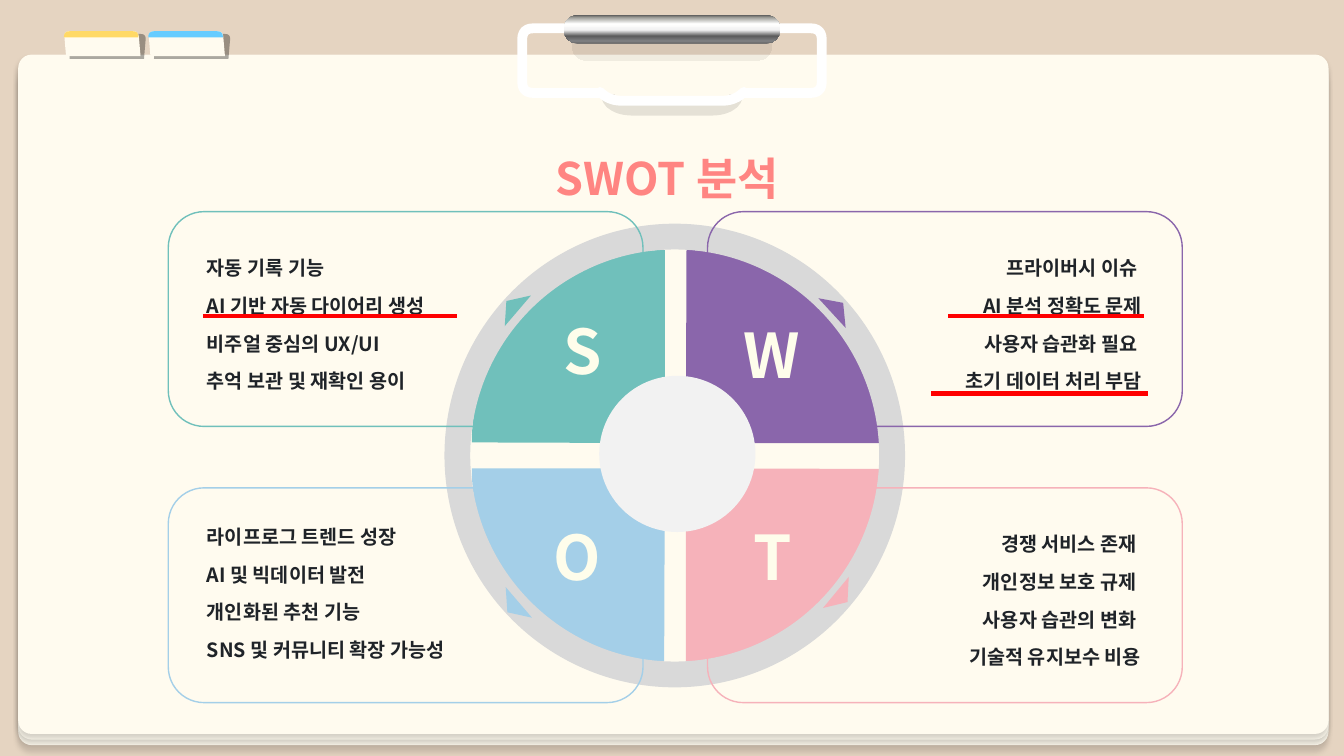
from dataclasses import dataclass, field
from lxml.etree import SubElement as Sub
from pptx import Presentation
from pptx.dml.color import RGBColor as RGB
from pptx.enum.shapes import MSO_CONNECTOR as Link, MSO_SHAPE as Kind
from pptx.enum.text import MSO_ANCHOR as Anchor, MSO_AUTO_SIZE as Fit, PP_ALIGN as Align
from pptx.oxml.ns import qn
from pptx.util import Pt


@dataclass(frozen=True)
class Theme:
    font: str = "Noto Sans CJK KR"
    desk: str = "E5D4C1"
    page: str = "FFFBEF"
    black: str = "000000"
    white: str = "FFFFFF"
    title: str = "FF8582"
    ink: str = "1F2328"
    mark: str = "FF0000"
    ring: str = "D9D9D9"
    hub: str = "F2F2F2"
    glyph: str = "FEFDEB"
    yellow: str = "FFD966"
    blue: str = "66CCFF"
    teal: str = "70C0BB"
    purple: str = "8A66AB"
    sky: str = "A4CFE8"
    pink: str = "F6B2BA"
    metal: tuple = ((0, "595959"), (8, "9A9A95"), (31, "FFFFFE"), (53, "F2F2F2"),
                    (74, "5B5B5B"), (92, "808183"), (100, "676767"))
    big: int = 32
    sign: int = 44
    small: int = 14


T = Theme()


@dataclass
class Part:
    sign: str
    color: str
    col: int
    row: int
    turn: int
    tip: tuple
    tilt: float
    spot: tuple
    note: tuple
    align: Align
    lines: list
    marks: list = field(default_factory=list)


PARTS = [
    Part("S", T.teal, 0, 0, 0, (48.3, 58.7), 310.5, (77.8, 60.5, 39.6), (20.4, 18.2, 215.3),
         Align.JUSTIFY,
         ["자동 기록 기능", "AI 기반 자동 다이어리 생성", "비주얼 중심의 UX/UI", "추억 보관 및 재확인 용이"],
         [(4.3, 185.8, 56.4)]),
    Part("W", T.purple, 1, 0, 90, (280.8, 60.2), 47.4, (206.7, 62.7, 59), (138.3, 18.2, 179.3),
         Align.RIGHT,
         ["프라이버시 이슈 ", "AI 분석 정확도 문제", "사용자 습관화 필요 ", "초기 데이터 처리 부담"],
         [(33.8, 173.5, 56.2), (21.6, 176.3, 111.6)]),
    Part("O", T.sky, 0, 1, 270, (49, 274), 229.4, (70.6, 207.4, 49), (20.4, 12.9, 221.8),
         Align.JUSTIFY,
         ["라이프로그 트렌드 성장", "AI 및 빅데이터 발전", "개인화된 추천 기능", "SNS 및 커뮤니티 확장 가능성"]),
    Part("T", T.pink, 1, 1, 180, (283.7, 266.8), 129.6, (213.9, 207.4, 40.3), (128.9, 18, 187.9),
         Align.RIGHT,
         ["경쟁 서비스 존재 ", "개인정보 보호 규제 ", "사용자 습관의 변화 ", "기술적 유지보수 비용"]),
]


def fade(fill, alpha):
    tint = fill.find(".//" + qn("a:srgbClr"))
    Sub(tint, qn("a:alpha"), val=str(alpha * 1000))


def paint(shape, fill=None, line=None, width=1):
    shape.shadow.inherit = False
    if fill:
        shape.fill.solid()
        shape.fill.fore_color.rgb = RGB.from_string(fill)
    else:
        shape.fill.background()
    if line:
        shape.line.color.rgb = RGB.from_string(line)
        shape.line.width = Pt(width)
    else:
        shape.line.fill.background()
    return shape


def place(slide, kind, box, fill=None, line=None, width=1):
    shape = slide.shapes.add_shape(kind, *map(Pt, box))
    return paint(shape, fill, line, width)


def shade(shape, alpha, blur, dist, wide=100):
    root = shape.element.spPr.find(qn("a:effectLst"))
    drop = Sub(root, qn("a:outerShdw"), blurRad=str(Pt(blur)), dist=str(Pt(dist)),
               dir="5400000", sx=str(wide * 1000), algn="ctr", rotWithShape="0")
    Sub(Sub(drop, qn("a:srgbClr"), val=T.black), qn("a:alpha"), val=str(alpha * 1000))


def toward(a, b, size):
    gap = ((b[0] - a[0]) ** 2 + (b[1] - a[1]) ** 2) ** 0.5
    return tuple(a[i] + (b[i] - a[i]) * size / gap for i in (0, 1))


def outline(slide, x, y, nodes):
    dots = []
    for i, node in enumerate(nodes):
        start = toward(node, nodes[i - 1], node[2])
        end = toward(node, nodes[(i + 1) % len(nodes)], node[2])
        for k in range(7 if node[2] else 1):
            t = k / 6
            px, py = ((1 - t) ** 2 * start[j] + 2 * t * (1 - t) * node[j] + t * t * end[j]
                      for j in (0, 1))
            dots.append((Pt(x + px), Pt(y + py)))
    pen = slide.shapes.build_freeform(*dots[0], scale=1.0)
    pen.add_line_segments(dots[1:], close=True)
    return pen.convert_to_shape()


def write(para, text, size, color):
    run = para.add_run()
    run.text = text
    font = run.font
    font.size, font.bold, font.name = Pt(size), True, T.font
    font.color.rgb = RGB.from_string(color)
    Sub(font.fill._xPr, qn("a:ea"), typeface=T.font)


def fill_in(holder, box, lines, size, color, align, space):
    holder.left, holder.top, holder.width, holder.height = map(Pt, box)
    holder.element.getparent().append(holder.element)
    frame = holder.text_frame
    frame.word_wrap, frame.auto_size = True, Fit.SHAPE_TO_FIT_TEXT
    frame.vertical_anchor = Anchor.TOP
    for i, text in enumerate(lines):
        para = frame.add_paragraph() if i else frame.paragraphs[0]
        para.alignment, para.line_spacing = align, space
        para.space_before = para.space_after = Pt(0)
        props = para._p.get_or_add_pPr()
        props.set("marL", "0")
        props.set("indent", "0")
        Sub(props, qn("a:buNone"))
        write(para, text, size, color)


def board(slide, box):
    x, y, w, h = box
    for step, alpha, dist in ((8, 13, 5), (4, 13, 3), (0, 17, 3)):
        sheet = place(slide, Kind.ROUNDED_RECTANGLE, (x, y + step, w, h), T.page)
        sheet.adjustments[0] = 0.02
        shade(sheet, alpha, 4, dist)


def tab(slide, box, color):
    x, y, w, h = box
    cast = [(1.5, 0, 4), (w, 0, 4), (w - 1.5, h, 0), (0, h, 0)]
    back = paint(outline(slide, x + 4, y + 2, cast), T.black)
    fade(back.element.spPr, 33)
    card = [(0, 0, 4), (w - 1.5, 0, 4), (w, h, 0), (1.5, h, 0)]
    paint(outline(slide, x, y, card), T.page)
    strip = [(0, 0, 4), (w - 1.5, 0, 4), (w - 1.5, 4.4, 0), (0, 4.4, 0)]
    paint(outline(slide, x, y, strip), color)


def clip(slide, box):
    x, y, w, h = box
    lip = place(slide, Kind.RIGHT_BRACKET, (x + w / 2 - 4.7, y + 16.6, 9.4, 91.4),
                None, T.black, 9.5)
    lip.rotation, lip.adjustments[0] = 90, 1.835
    fade(lip.element.spPr.find(qn("a:ln")), 10)
    low, mid = h - 15.4, w / 2
    wire = [(0, 9.4, 8), (w, 9.4, 8), (w, low, 8), (mid + 50.7, low, 0), (mid + 45, h, 9),
            (mid - 45, h, 9), (mid - 50.7, low, 0), (0, low, 8)]
    wire = [(a, b if b < low else b - 6 if b == h else low + 3.8, r) for a, b, r in wire]
    paint(outline(slide, x, y, wire), None, T.white, 7)
    bar = place(slide, Kind.ROUNDED_RECTANGLE, (x + mid - 77.4, y, 154.8, 20.2), T.white)
    bar.adjustments[0] = 0.5
    bar.fill.gradient()
    bar.fill.gradient_angle = 270
    stops = bar.element.spPr.find(".//" + qn("a:gsLst"))
    stops.clear()
    for at, color in T.metal:
        Sub(Sub(stops, qn("a:gs"), pos=str(at * 1000)), qn("a:srgbClr"), val=color)
    shade(bar, 6, 0, 12, 92)


def wheel(slide, box):
    x, y, w, h = box
    for p in PARTS:
        slab = place(slide, Kind.PIE, (x + 19.5 + 15 * p.col, y + 18.8 + 18 * p.row, 275.8, 275.8),
                     p.color)
        slab.adjustments[0], slab.adjustments[1] = 108.12, 162
        slab.rotation = p.turn
    place(slide, Kind.DONUT, box, T.ring).adjustments[0] = 0.056
    for p in PARTS:
        tip = place(slide, Kind.ISOSCELES_TRIANGLE,
                    (x + p.tip[0] - 14.4, y + p.tip[1] - 5.4, 28.8, 10.8), p.color)
        tip.rotation = p.tilt


def hub(slide, box):
    x, y, w, h = box
    place(slide, Kind.OVAL, (x + w / 2 - 54, y + h / 2 - 1 - 56, 111.6, 111.6), T.hub)
    for p in PARTS:
        dx, dy, wide = p.spot
        label = slide.shapes.add_textbox(Pt(x + dx), Pt(y + dy), Pt(wide), Pt(60.5))
        label.text_frame.word_wrap = False
        label.text_frame.auto_size = Fit.SHAPE_TO_FIT_TEXT
        write(label.text_frame.paragraphs[0], p.sign, T.sign, T.glyph)


def note(slide, box, part, holder):
    x, y = box[0] + part.note[0], box[1] + part.note[1]
    fill_in(holder, (x, y, part.note[2], 115.9), part.lines, T.small, T.ink, part.align, 1.6)
    for left, right, drop in part.marks:
        rule = slide.shapes.add_connector(Link.STRAIGHT, Pt(x + left), Pt(y + drop),
                                          Pt(x + right), Pt(y + drop))
        rule.line.color.rgb, rule.line.width = RGB.from_string(T.mark), Pt(3)
        Sub(rule.element.spPr, qn("a:effectLst"))


def main():
    deck = Presentation()
    deck.slide_width, deck.slide_height = Pt(960), Pt(540)
    slide = deck.slides.add_slide(deck.slide_layouts[4])
    title, *lists = slide.placeholders
    slide.background.fill.solid()
    slide.background.fill.fore_color.rgb = RGB.from_string(T.desk)
    board(slide, (13, 39, 936, 485.3))
    clip(slide, (373, 10.8, 214, 67.2))
    for x, color in ((106, T.blue), (45.7, T.yellow)):
        tab(slide, (x, 22.3, 54.7, 17.8), color)
    fill_in(title, (256.3, 85, 440.6, 57.6), ["SWOT 분석"], T.big, T.title, Align.CENTER, 1.5)
    disc = (317.5, 159.8, 329, 331.2)
    wheel(slide, disc)
    boxes = [(120.2 + 385.2 * p.col, 151.2 + 197.3 * p.row, 339.1, 153.4) for p in PARTS]
    for part, box in zip(PARTS, boxes):
        place(slide, Kind.ROUNDED_RECTANGLE, box, None, part.color)
    hub(slide, disc)
    for part, box, holder in zip(PARTS, boxes, lists):
        note(slide, box, part, holder)
    deck.save("out.pptx")


if __name__ == "__main__":
    main()
